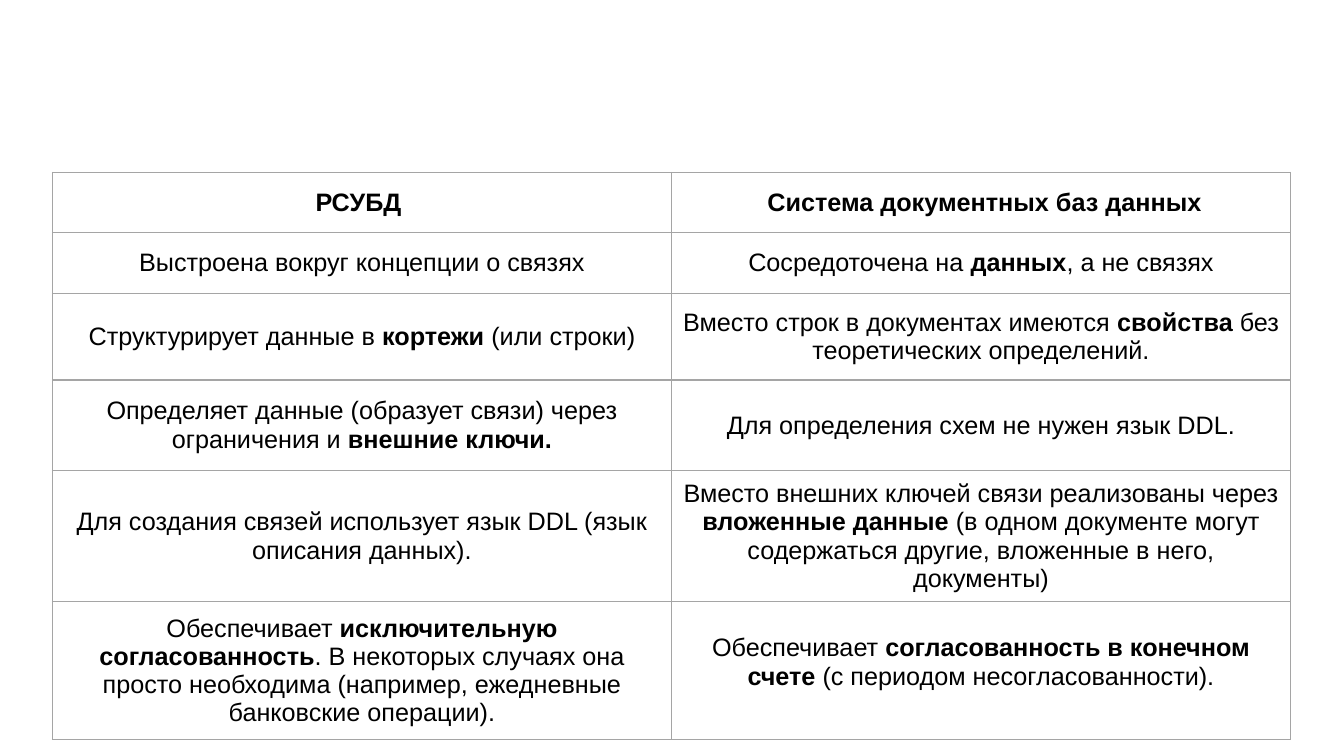
from lxml import etree
from pptx import Presentation
from pptx.dml.color import RGBColor
from pptx.enum.text import MSO_ANCHOR, PP_ALIGN
from pptx.oxml.ns import qn
from pptx.util import Inches, Pt

CENTER = PP_ALIGN.CENTER
MIDDLE, TOP = MSO_ANCHOR.MIDDLE, MSO_ANCHOR.TOP
BLACK, WHITE, GREY = "000000", "FFFFFF", "A5A5A5"
TABLE_BOX = (0.52, 1.71, 12.28, 5.63)
ROW_HEIGHTS = [0.6, 0.6, 0.86, 0.9, 1.3, 1.37]
MARGINS = {"margin_left": 0.06, "margin_right": 0.06,
           "margin_top": 0.03, "margin_bottom": 0.03}
LAST_CELL_MARGINS = {**MARGINS, "margin_top": 0.32}
BOLD_MARK = "**"

COMPARISON = [
    ("**РСУБД **", " **Система документных баз данных**"),
    ("Выстроена вокруг концепции о связях",
     "Сосредоточена на **данных**, а не связях"),
    ("Структурирует данные в **кортежи **(или строки)",
     "Вместо строк в документах имеются **свойства **без теоретических определений."),
    ("Определяет данные (образует связи) через ограничения и **внешние ключи.**",
     "Для определения схем не нужен язык DDL."),
    ("Для создания связей использует язык DDL (язык описания данных).",
     "Вместо внешних ключей связи реализованы через **вложенные данные**"
     " (в одном документе могут содержаться другие, вложенные в него, документы)"),
    ("Обеспечивает **исключительную согласованность**. В некоторых случаях она"
     " просто необходима (например, ежедневные банковские операции).",
     "Обеспечивает **согласованность в конечном счете** (с периодом несогласованности)."),
]


def color(value):
    """Turn a hex string into a colour."""
    return RGBColor.from_string(value)


def set_borders(cell, value, width):
    """Draw all four borders of a cell."""
    props = cell._tc.get_or_add_tcPr()
    for i, side in enumerate(("lnL", "lnR", "lnT", "lnB")):
        line = etree.Element(qn(f"a:{side}"), w=str(Pt(width)))
        fill = etree.SubElement(line, qn("a:solidFill"))
        etree.SubElement(fill, qn("a:srgbClr"), val=value)
        props.insert(i, line)


def write_cell(cell, text, margins, anchor):
    """Fill a cell with centred text whose marked parts are bold."""
    cell.fill.solid()
    cell.fill.fore_color.rgb = color(WHITE)
    set_borders(cell, GREY, 1)
    for name, value in margins.items():
        setattr(cell, name, Inches(value))
    cell.vertical_anchor = anchor
    p = cell.text_frame.paragraphs[0]
    p.alignment = CENTER
    for i, part in enumerate(text.split(BOLD_MARK)):
        if part:
            r = p.add_run()
            r.text = part
            for name, value in {"name": "Arial", "size": Pt(18), "bold": i % 2 == 1}.items():
                setattr(r.font, name, value)
            r.font.color.rgb = color(BLACK)


def add_comparison(s, box, rows, heights):
    """Place the comparison table in its box."""
    columns = len(rows[0])
    table = s.shapes.add_table(len(rows), columns, *map(Inches, box)).table
    for name in ("first_row", "horz_banding"):
        setattr(table, name, False)
    for column in table.columns:
        column.width = Inches(box[2] / columns)
    last = (len(rows) - 1, columns - 1)
    for i, (texts, height) in enumerate(zip(rows, heights)):
        table.rows[i].height = Inches(height)
        for j, text in enumerate(texts):
            is_last = (i, j) == last
            write_cell(table.cell(i, j), text,
                       LAST_CELL_MARGINS if is_last else MARGINS,
                       TOP if is_last else MIDDLE)


def main():
    """Build and save the slide."""
    prs = Presentation()
    prs.slide_width, prs.slide_height = Inches(13.33), Inches(7.5)
    s = prs.slides.add_slide(prs.slide_layouts[6])
    add_comparison(s, TABLE_BOX, COMPARISON, ROW_HEIGHTS)
    prs.save("out.pptx")


if __name__ == "__main__":
    main()
